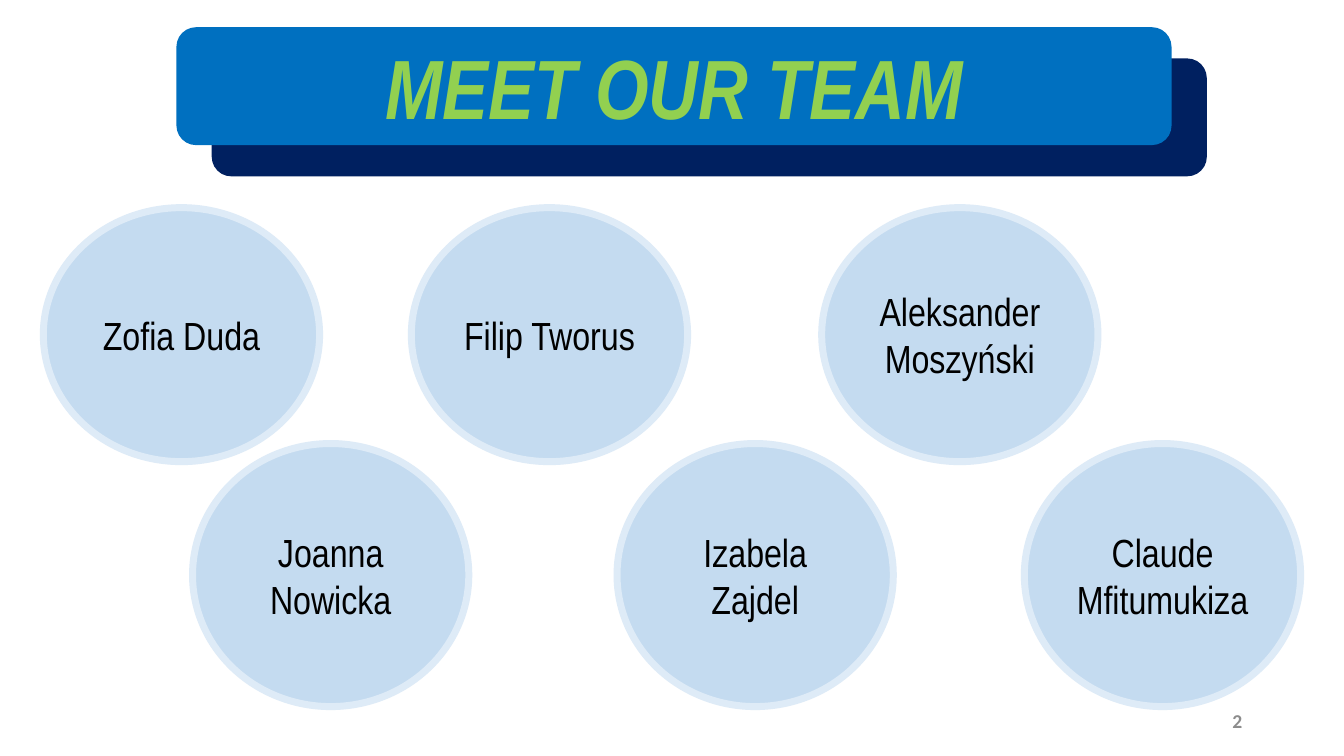
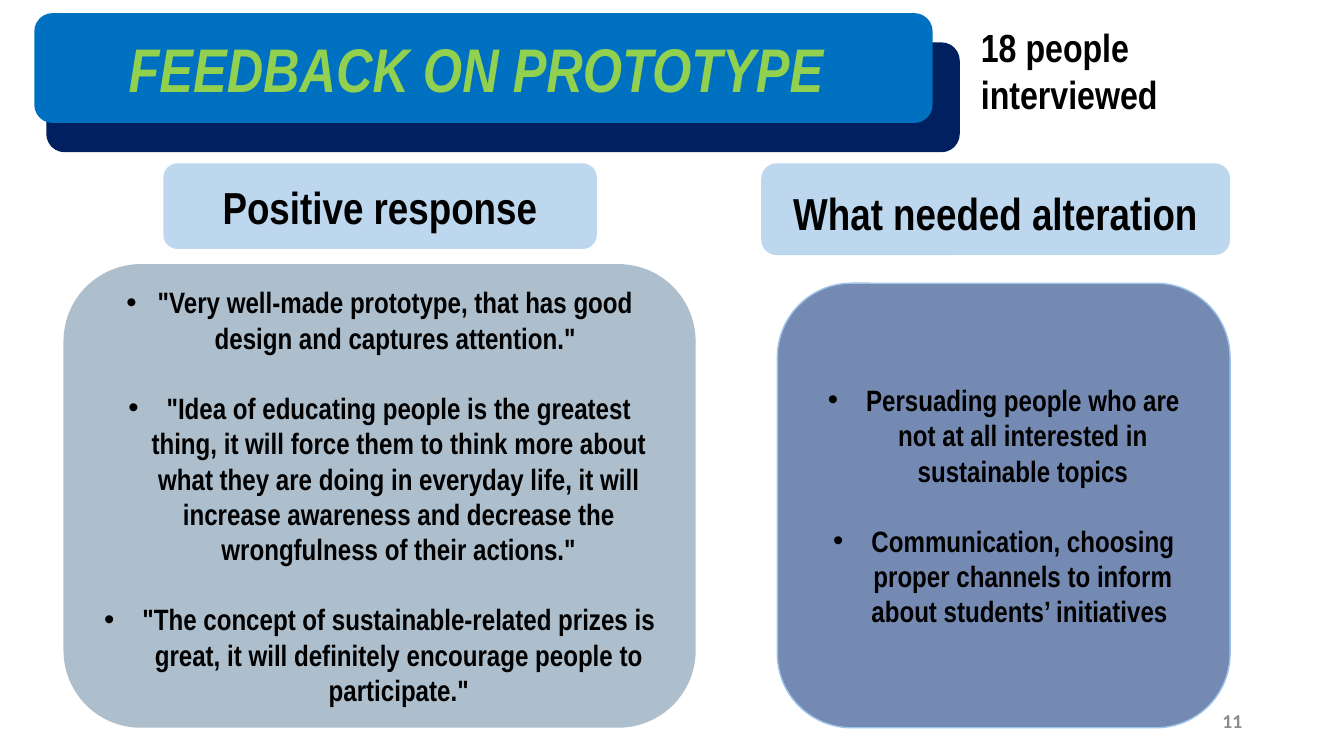
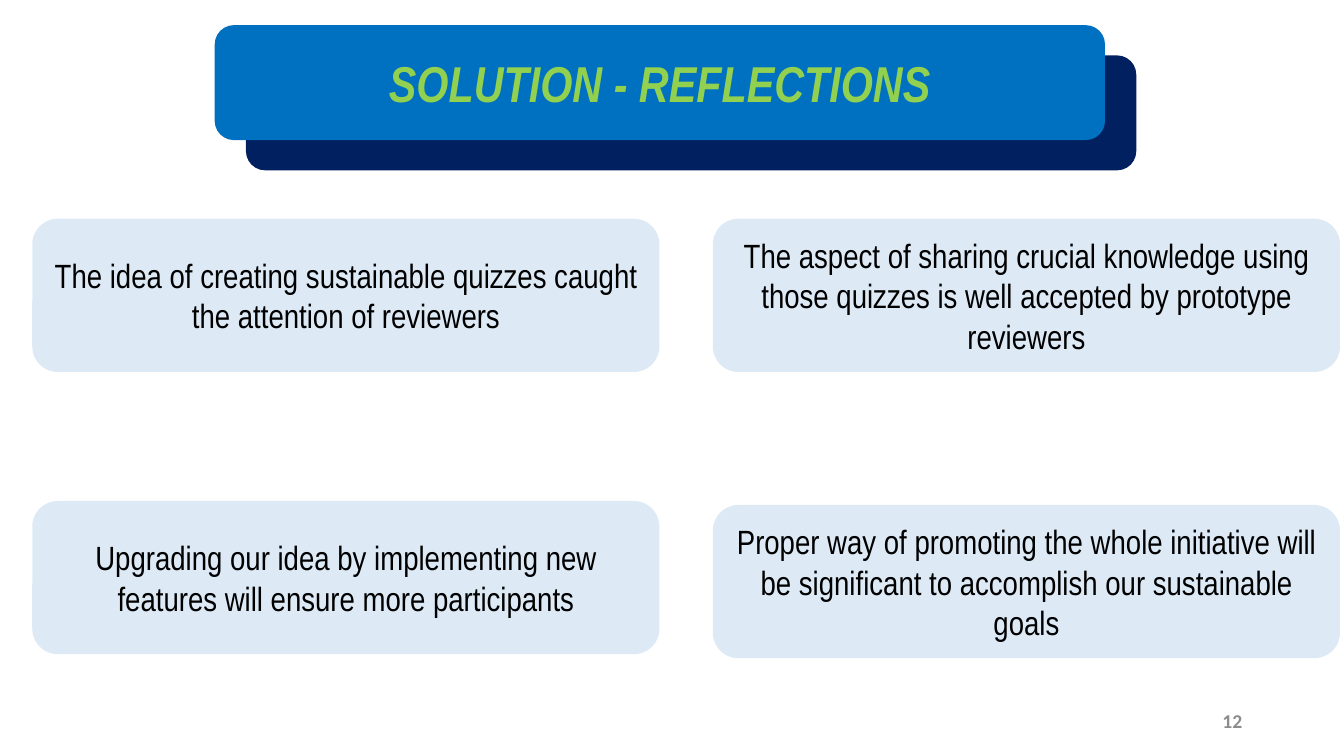
"""Build three slides on a project team, prototype feedback and reflections."""

import lxml.etree
import pptx
import pptx.dml.color
import pptx.enum.shapes
import pptx.enum.text
import pptx.oxml.ns
import pptx.util

Inches = pptx.util.Inches
Pt = pptx.util.Pt
qn = pptx.oxml.ns.qn
ROUNDED = pptx.enum.shapes.MSO_SHAPE.ROUNDED_RECTANGLE
OVAL = pptx.enum.shapes.MSO_SHAPE.OVAL
ALIGN = pptx.enum.text.PP_ALIGN
ANCHOR = pptx.enum.text.MSO_ANCHOR
TITLE_ONLY, TWO_CONTENT = 5, 3


def rgb(code):
    return pptx.dml.color.RGBColor.from_string(code)


class Deck:
    NAVY, BLUE, GREEN = "002060", "0070C0", "92D050"
    SKY, PALE, EDGE = "BDD7EE", "DEEBF7", "9DC3E6"
    BLACK, GREY = "000000", "8C8C8C"
    BASE = {"name": "Arial Narrow", "bold": False, "italic": False}
    TITLE = {**BASE, "bold": True, "italic": True}
    STRONG = {**BASE, "bold": True}
    NUMBER = {**STRONG, "name": "Calibri", "size": Pt(14)}
    FRAME = {"word_wrap": True, "vertical_anchor": ANCHOR.MIDDLE,
             "auto_size": pptx.enum.text.MSO_AUTO_SIZE.NONE}

    def __init__(self):
        self.presentation = pptx.Presentation()
        self.presentation.slide_width = Inches(13.33)
        self.presentation.slide_height = Inches(7.5)
        self.slide = None

    def apply(self, target, values):
        for name, value in values.items():
            setattr(target, name, value)

    def add_words(self, paragraph, text, style, color=BLACK, align=ALIGN.CENTER):
        paragraph.alignment = align
        run = paragraph.add_run()
        run.text = text
        self.apply(run.font, style)
        run.font.color.rgb = rgb(color)

    def place(self, placeholder, box):
        left, top, width, height = map(Inches, box)
        self.apply(placeholder, {"left": left, "top": top,
                                 "width": width, "height": height})
        self.apply(placeholder.text_frame, self.FRAME)
        self.slide.shapes.element.append(placeholder.element)
        return placeholder.text_frame

    def panel(self, box, fill, kind=ROUNDED, opacity=100, line=None, line_width=1):
        panel = self.slide.shapes.add_shape(kind, *map(Inches, box))
        panel.shadow.inherit = False
        panel.fill.solid()
        panel.fill.fore_color.rgb = rgb(fill)
        if opacity < 100:
            tint = panel.element.spPr.find(f"{qn('a:solidFill')}/{qn('a:srgbClr')}")
            lxml.etree.SubElement(tint, qn("a:alpha"), val=str(opacity * 1000))
        if line:
            panel.line.color.rgb = rgb(line)
            panel.line.width = Pt(line_width)
        else:
            panel.line.fill.background()
        return panel

    def label(self, box, text, size, fill, style=BASE, margin_top=0.05, **look):
        frame = self.panel(box, fill, **look).text_frame
        self.apply(frame, {**self.FRAME, "margin_top": Inches(margin_top)})
        self.add_words(frame.paragraphs[0], text, {**style, "size": Pt(size)})

    def text(self, box, text, style, color=BLACK, align=ALIGN.LEFT, anchor=ANCHOR.TOP):
        frame = self.slide.shapes.add_textbox(*map(Inches, box)).text_frame
        self.apply(frame, {**self.FRAME, "vertical_anchor": anchor})
        self.add_words(frame.paragraphs[0], text, style, color, align)

    def start(self, layout, number, title, size, front, back):
        layouts = self.presentation.slide_layouts
        self.slide = self.presentation.slides.add_slide(layouts[layout])
        self.panel(back, self.NAVY)
        self.panel(front, self.BLUE)
        frame = self.place(self.slide.shapes.title, front)
        self.add_words(frame.paragraphs[0], title, {**self.TITLE, "size": Pt(size)},
                       self.GREEN)
        self.text((9.42, 6.95, 3, 0.4), number, self.NUMBER, self.GREY,
                  ALIGN.RIGHT, ANCHOR.MIDDLE)

    def bullets(self, index, box, items, fill, line=None):
        self.panel(box, fill, line=line)
        left, top, width, height = box
        corner = 0.22
        frame = self.place(self.slide.placeholders[index],
                           (left + corner, top, width - 2 * corner, height))
        for position, (text, indent) in enumerate(items):
            paragraph = frame.add_paragraph() if position else frame.paragraphs[0]
            properties = paragraph._p.get_or_add_pPr()
            properties.set("marL", str(Inches(indent)))
            properties.set("indent", str(-Inches(indent)))
            lxml.etree.SubElement(properties, qn("a:buFont"), typeface="Arial")
            lxml.etree.SubElement(properties, qn("a:buChar"), char="•")
            paragraph.space_before = Pt(25 if position else 0)
            self.add_words(paragraph, text, {**self.STRONG, "size": Pt(21)})


def team(deck):
    deck.start(TITLE_ONLY, "2", "MEET OUR TEAM", 60,
               (1.75, 0.27, 9.87, 1.17), (2.1, 0.58, 9.87, 1.17))
    rows = [
        (2.06, 2.52, [(0.43, "Zofia Duda"), (4.08, "Filip Tworus"),
                      (8.15, "Aleksander Moszyński")]),
        (4.4, 2.61, [(1.91, "Joanna Nowicka"), (6.12, "Izabela Zajdel"),
                     (10.16, "Claude Mfitumukiza")]),
    ]
    for top, height, members in rows:
        for left, member in members:
            deck.label((left, top, 2.74, height), member, 28, deck.EDGE,
                       kind=OVAL, opacity=60, line=deck.PALE, line_width=5)


def feedback(deck):
    deck.start(TWO_CONTENT, "11", "FEEDBACK ON PROTOTYPE ", 44,
               (0.34, 0.13, 8.91, 1.09), (0.46, 0.42, 9.06, 1.09))
    deck.text((9.63, 0.18, 2.29, 1.04), "18 people interviewed ",
              {**deck.STRONG, "size": Pt(28)})
    deck.label((1.62, 1.62, 4.3, 0.85), "Positive response", 32, deck.SKY, deck.STRONG)
    deck.label((7.55, 1.62, 4.65, 0.91), "What needed alteration", 32, deck.SKY,
               deck.STRONG, margin_top=0.11)
    praise = [
        ('"Very well-made prototype, that has good design and captures attention."', 0.31),
        ('"Idea of educating people is the greatest thing, it will force them to think '
         'more about what they are doing in everyday life, it will increase awareness '
         'and decrease the wrongfulness of their actions."', 0.38),
        ('"The concept of sustainable-related prizes is great, it will definitely '
         'encourage people to participate."', 0.38),
    ]
    changes = [
        ("Persuading people who are not at all interested in sustainable topics", 0.38),
        ("Communication, choosing proper channels to inform about students’ initiatives ",
         0.38),
    ]
    deck.bullets(1, (0.63, 2.62, 6.27, 4.6), praise, "ADBECC")
    deck.bullets(2, (7.71, 2.81, 4.49, 4.41), changes, "748AB3", deck.EDGE)


def reflections(deck):
    deck.start(TITLE_ONLY, "12", "SOLUTION - REFLECTIONS", 36,
               (2.13, 0.25, 8.83, 1.14), (2.44, 0.55, 8.83, 1.14))
    thoughts = [
        (0.32, 2.17, "The idea of creating sustainable quizzes caught the attention "
                     "of reviewers"),
        (7.07, 2.17, "The aspect of sharing crucial knowledge using those quizzes is "
                     "well accepted by prototype reviewers"),
        (0.32, 4.97, "Upgrading our idea by implementing new features will "
                     "ensure more participants"),
        (7.07, 5.01, "Proper way of promoting the whole initiative will be significant "
                     "to accomplish our sustainable goals"),
    ]
    for left, top, thought in thoughts:
        deck.label((left, top, 6.22, 1.52), thought, 24, deck.SKY, opacity=50)


def main():
    deck = Deck()
    for build in (team, feedback, reflections):
        build(deck)
    deck.presentation.save("out.pptx")


if __name__ == "__main__":
    main()
